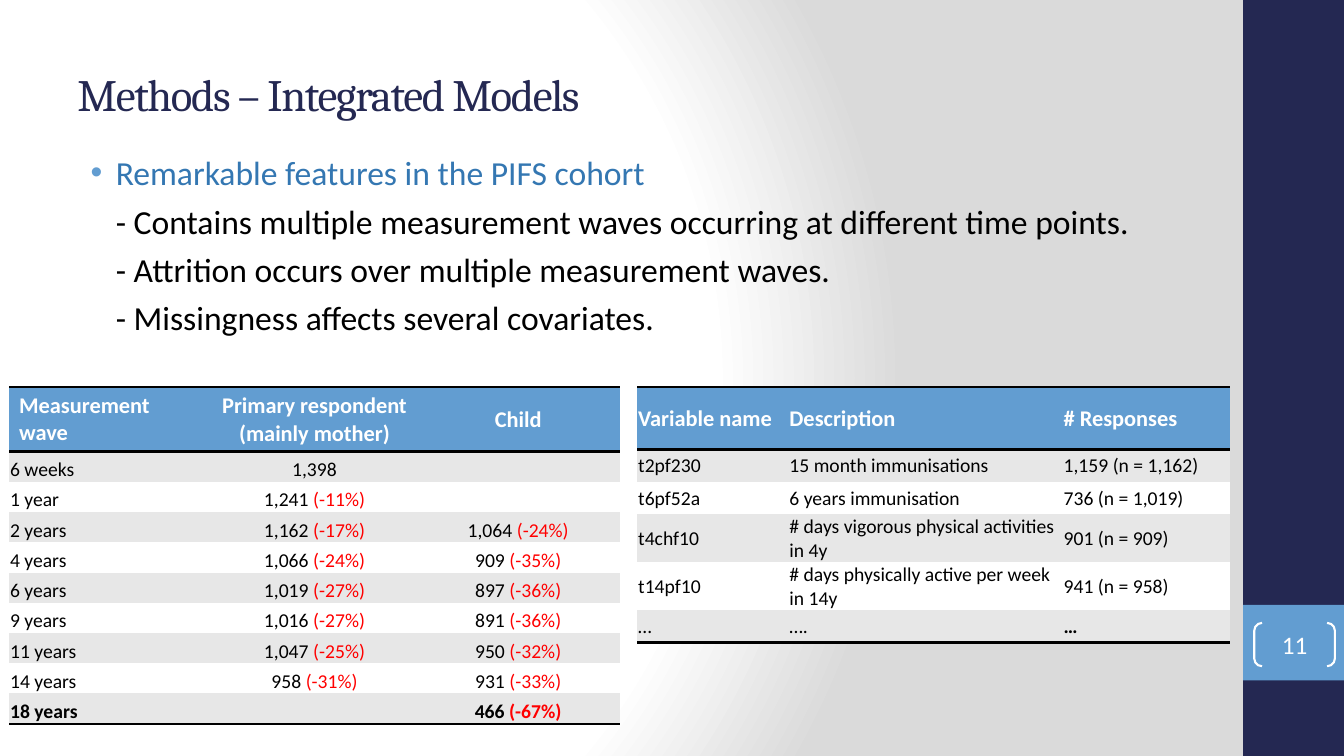
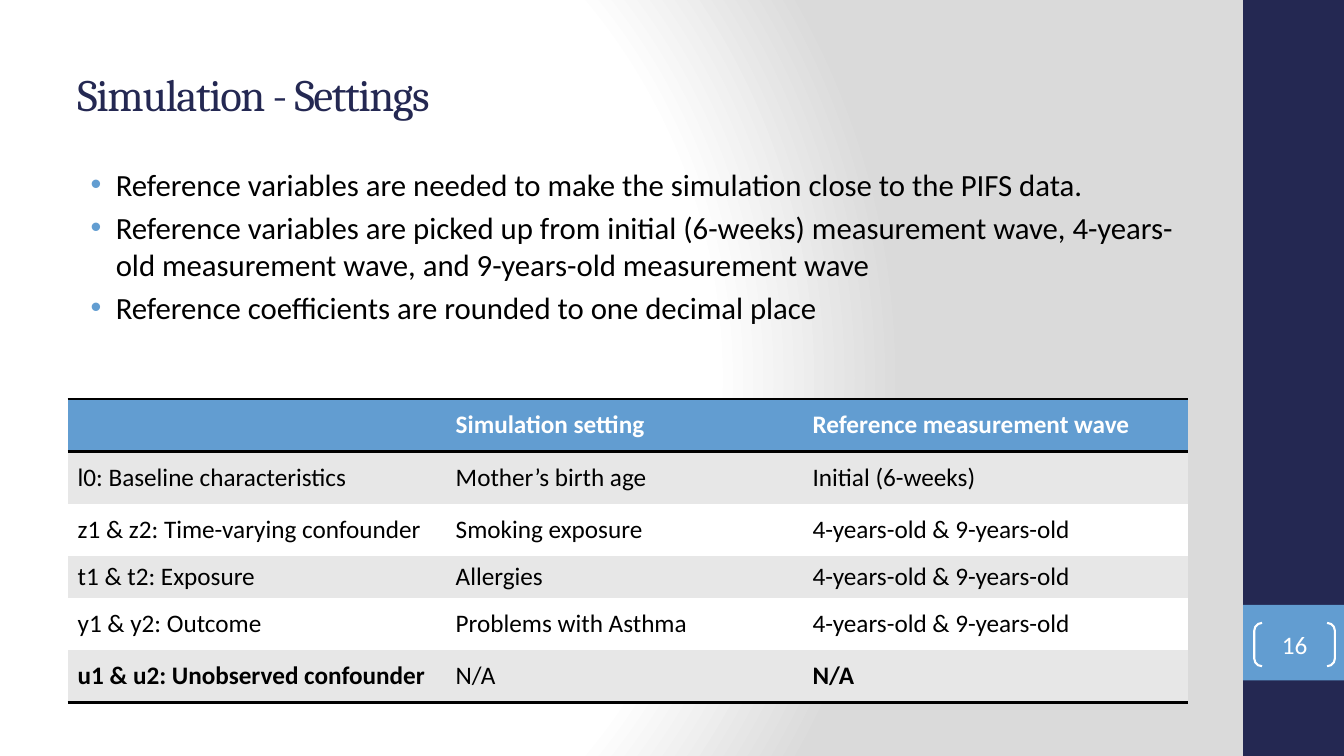
from lxml import etree
from pptx import Presentation
from pptx.dml.color import RGBColor
from pptx.enum.shapes import MSO_SHAPE
from pptx.enum.text import MSO_ANCHOR, PP_ALIGN
from pptx.oxml import parse_xml
from pptx.oxml.ns import nsdecls, qn
from pptx.util import Inches, Pt

RECT, BRACKETS = MSO_SHAPE.RECTANGLE, MSO_SHAPE.DOUBLE_BRACKET
MIDDLE, BOTTOM = MSO_ANCHOR.MIDDLE, MSO_ANCHOR.BOTTOM
LEFT, CENTER = PP_ALIGN.LEFT, PP_ALIGN.CENTER
NAVY, BLUE, DEEP_BLUE = "242852", "629DD1", "3477B2"
BLACK, WHITE, BAND, RED = "000000", "FFFFFF", "E7E7E7", "FF0000"
NO_STYLE = "{2D5ABB26-0587-4C30-8999-92F81FD0307C}"
rgb = RGBColor.from_string


def add_text(tf, text, size=18, color=BLACK, font="Calibri", bold=False,
             align=LEFT, spacing=None, bullet=False, indent=None,
             line=None, before=None):
    p = tf.add_paragraph() if tf.text else tf.paragraphs[0]
    p.alignment, p.line_spacing = align, line
    if before:
        p.space_before = Pt(before)
    if indent:
        pPr = p._p.get_or_add_pPr()
        pPr.set("marL", str(Inches(indent)))
        pPr.set("indent", str(Inches(-0.25 if bullet else 0)))
        if bullet:
            clr = etree.SubElement(pPr, qn("a:buClr"))
            etree.SubElement(clr, qn("a:srgbClr"), val=BLUE)
            etree.SubElement(pPr, qn("a:buFont"), typeface="Arial")
            etree.SubElement(pPr, qn("a:buChar"), char="•")
    if not text:
        etree.SubElement(p._p, qn("a:endParaRPr"), sz=str(size * 100))
        return
    value, loss, rest = text.partition("(-")
    for part, part_color in ((value, color), (loss + rest, RED)):
        if part:
            r = p.add_run()
            r.text = part
            r.font.size, r.font.name, r.font.bold = Pt(size), font, bold
            r.font.color.rgb = rgb(part_color)
            if spacing:
                r._r.get_or_add_rPr().set("spc", str(spacing * 100))


def add_table(s, left, top, cols, heights, rows, head_size, size, tight=True,
              anchor=MIDDLE, aligns=(LEFT, LEFT, LEFT), bold=(), loose=()):
    frame = s.shapes.add_table(len(rows), len(cols), Inches(left), Inches(top),
                               Inches(sum(cols)), Inches(sum(heights)))
    table = frame.table
    table._tbl.tblPr.find(qn("a:tableStyleId")).text = NO_STYLE
    for col, width in zip(table.columns, cols):
        col.width = Inches(width)
    for i, row in enumerate(rows):
        table.rows[i].height = Inches(heights[i])
        head, last = i == 0, i == len(rows) - 1
        for j, text in enumerate(row):
            cell = table.cell(i, j)
            cell.fill.solid()
            cell.fill.fore_color.rgb = rgb(BLUE if head else BAND if i % 2 else WHITE)
            cell.vertical_anchor = MIDDLE if head else anchor
            if tight and (i, j) not in loose:
                cell.margin_left = cell.margin_right = cell.margin_top = Inches(0.01)
                cell.margin_bottom = 0
            add_text(cell.text_frame, text, size=head_size if head else size,
                     color=WHITE if head else BLACK, align=aligns[j],
                     bold=head or (i, j) in bold)
            edges = ["lnT", "lnB"] if head else ["lnB"] if last else []
            for k, edge in enumerate(edges):
                cell._tc.get_or_add_tcPr().insert(k, parse_xml(
                    f'<a:{edge} {nsdecls("a")} w="{Pt(2)}"><a:solidFill>'
                    f'<a:srgbClr val="{BLACK}"/></a:solidFill></a:{edge}>'))


prs = Presentation()
prs.slide_width, prs.slide_height = Inches(13.33), Inches(7.5)

stops = "".join(f'<a:gs pos="{pos}000"><a:srgbClr val="{color}"/></a:gs>'
                for pos, color in ((0, WHITE), (75, WHITE), (100, "DADADA")))
master = prs.slide_master
master.background.fill.solid()
solid = master.element.cSld.find(".//" + qn("a:solidFill"))
solid.getparent().replace(solid, parse_xml(
    f'<a:gradFill {nsdecls("a")} rotWithShape="1"><a:gsLst>{stops}</a:gsLst>'
    '<a:path path="circle"><a:fillToRect l="20000" t="50000" r="100000" b="50000"/>'
    '</a:path></a:gradFill>'))

features = [
    ("Remarkable features in the PIFS cohort", DEEP_BLUE, True),
    ("- Contains multiple measurement waves occurring at different time points.", BLACK, False),
    ("- Attrition occurs over multiple measurement waves.", BLACK, False),
    ("- Missingness affects several covariates.", BLACK, False),
]
references = [
    ("Reference variables are needed to make the simulation close to the PIFS data.", BLACK, True),
    ("Reference variables are picked up from initial (6-weeks) measurement wave, "
     "4-years-old measurement wave, and 9-years-old measurement wave", BLACK, True),
    ("Reference coefficients are rounded to one decimal place", BLACK, True),
]
pages = [
    ("Methods – Integrated Models", "11", 1.38, 5.25, 24, 1.2, features),
    ("Simulation - Settings", "16", 1.59, 2.16, 22, None, references),
]

slides = []
for title, number, top, height, size, line, body in pages:
    s = prs.slides.add_slide(prs.slide_layouts[6])
    slides.append(s)
    for band_top, band_height, color in ((0, 7.5, NAVY), (6, 0.75, BLUE)):
        sp = s.shapes.add_shape(RECT, Inches(12.33), Inches(band_top),
                                Inches(1), Inches(band_height))
        sp.shadow.inherit = False
        sp.fill.solid()
        sp.fill.fore_color.rgb = rgb(color)
        sp.line.fill.background()

    tf = s.shapes.add_textbox(Inches(0.67), Inches(0.3), Inches(11.11), Inches(1.25)).text_frame
    tf.word_wrap, tf.vertical_anchor = True, MIDDLE
    add_text(tf, title, size=32, color=NAVY, font="Cambria", spacing=-1)

    tf = s.shapes.add_textbox(Inches(0.67), Inches(top), Inches(11.11), Inches(height)).text_frame
    tf.word_wrap = True
    for text, color, bullet in body:
        add_text(tf, text, size=size, color=color, bullet=bullet, indent=0.38,
                 line=line, before=size * 0.2 if bullet else None)

    sp = s.shapes.add_shape(BRACKETS, Inches(12.44), Inches(6.18), Inches(0.8), Inches(0.43))
    sp.shadow.inherit = False
    sp.adjustments[0] = 0.18
    sp.fill.background()
    sp.line.color.rgb = rgb(WHITE)
    sp.line.width = Pt(1.5)
    tf = sp.text_frame
    tf.margin_left = tf.margin_right = tf.margin_top = tf.margin_bottom = 0
    tf.vertical_anchor = MIDDLE
    add_text(tf, number, color=WHITE, align=CENTER)

methods, simulation = slides

waves = [
    ("Measurement wave", "Primary respondent (mainly mother)", "Child"),
    ("6 weeks", "1,398", ""),
    ("1 year", "1,241 (-11%)", ""),
    ("2 years", "1,162 (-17%)", "1,064 (-24%)"),
    ("4 years", "1,066 (-24%)", "909 (-35%)"),
    ("6 years", "1,019 (-27%)", "897 (-36%)"),
    ("9 years", "1,016 (-27%)", "891 (-36%)"),
    ("11 years", "1,047 (-25%)", "950 (-32%)"),
    ("14 years", "958 (-31%)", "931 (-33%)"),
    ("18 years", "", "466 (-67%)"),
]
add_table(methods, 0.09, 3.84, [2.02] * 3, [0.64] + [0.3] * 9, waves, 16, 14,
          anchor=BOTTOM, aligns=(LEFT, CENTER, CENTER),
          bold={(9, 0), (9, 2)}, loose={(0, 0)})

variables = [
    ("Variable name", "Description", "# Responses"),
    ("t2pf230", "15 month immunisations", "1,159 (n = 1,162)"),
    ("t6pf52a", "6 years immunisation", "736 (n = 1,019)"),
    ("t4chf10", "# days vigorous physical activities in 4y", "901 (n = 909)"),
    ("t14pf10", "# days physically active per week in 14y", "941 (n = 958)"),
    ("…", "….", "…"),
]
add_table(methods, 6.32, 3.84, [1.5, 2.72, 1.66], [0.62] + [0.32] * 5, variables,
          16, 14, bold={(5, 2)})

settings = [
    ("", "Simulation setting", "Reference measurement wave"),
    ("l0: Baseline characteristics", "Mother’s birth age", "Initial (6-weeks)"),
    ("z1 & z2: Time-varying confounder", "Smoking exposure", "4-years-old & 9-years-old"),
    ("t1 & t2: Exposure", "Allergies", "4-years-old & 9-years-old"),
    ("y1 & y2: Outcome", "Problems with Asthma", "4-years-old & 9-years-old"),
    ("u1 & u2: Unobserved confounder", "N/A", "N/A"),
]
add_table(simulation, 0.67, 3.96, [3.75, 3.54, 3.82], [0.52, 0.52, 0.52, 0.41, 0.52, 0.52],
          settings, 18, 18, tight=False, bold={(5, 0), (5, 2)})

prs.save("out.pptx")
